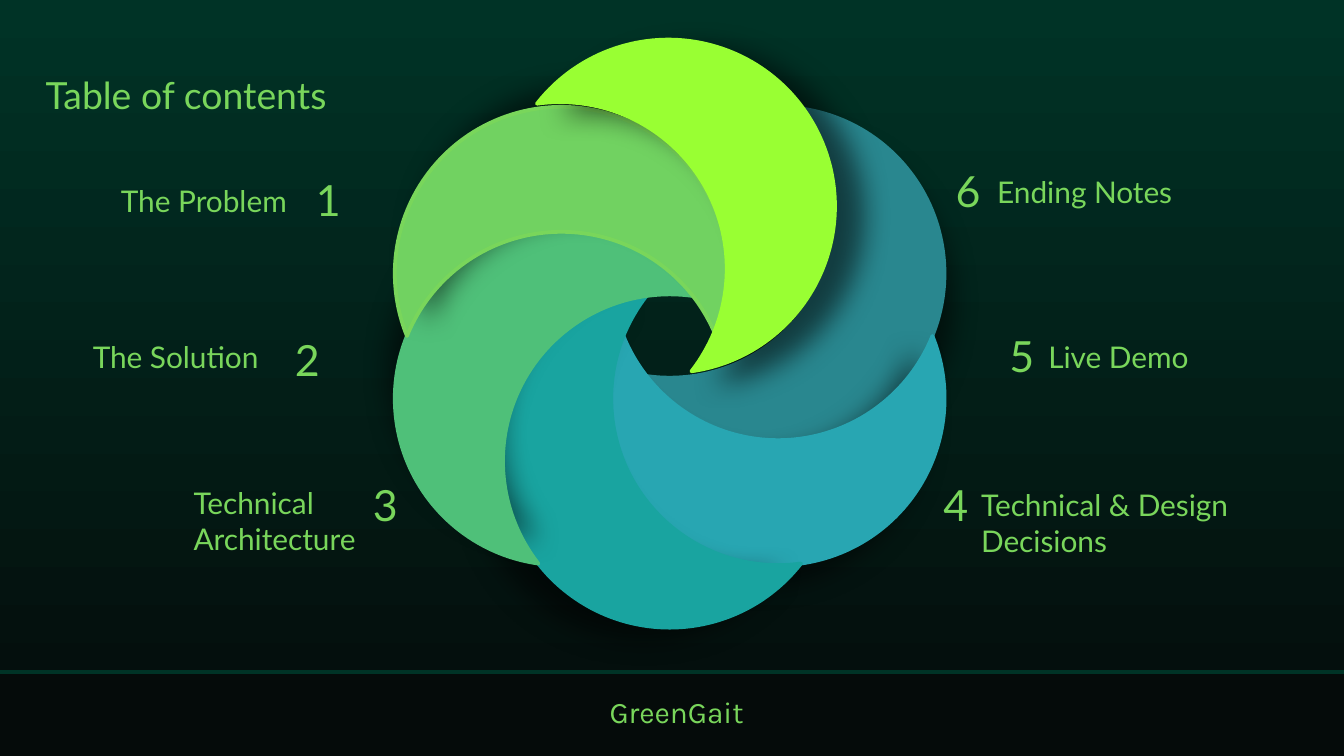
from dataclasses import dataclass
from math import acos, cos, degrees, radians, sin

from lxml import etree
from pptx import Presentation
from pptx.dml.color import RGBColor
from pptx.enum.shapes import MSO_SHAPE
from pptx.oxml.ns import qn
from pptx.util import Emu, Inches, Pt

RECT = MSO_SHAPE.RECTANGLE
CELL = Inches(0.1)
COLS, ROWS = 100, 56.25
NIGHT, FOREST, LEAF, LAGOON = "050B0A", "003326", "79D65B", "0A9CAB"
HUB_COL, HUB_ROW = 49.83, 25
RING, RADIUS = 9.3, 12.4
ARC_STEPS = 60
SPREAD = degrees(acos(RING / 2 / RADIUS))


@dataclass
class Petal:
    fill: str
    line: str
    shadow_angle: int
    shift: tuple[float, float] = (0, 0)


@dataclass
class Label:
    text: str
    col: float
    row: float
    cols: float
    rows: float = 3.8
    size: int = 16
    font: str = "Lato"
    leaf_share: float = 0.71


@dataclass
class Entry:
    number: Label
    topic: Label


def number(text: str, col: float, row: float) -> Label:
    return Label(text, col, row, 2.3, 5.7, 23)


PETALS = [
    Petal("29878F", "29878F", 80),
    Petal("28A6B2", "28A6B2", 140),
    Petal("19A4A0", "19A4A0", 160),
    Petal("4FC079", "4FC079", 260),
    Petal("71D261", LEAF, 320),
    Petal("99FF33", "99FF33", 20, (-0.1, -0.35)),
]

TITLE = Label("Table of contents", 3.4, 5.4, 27.6, 5.7, 20)
FOOTER = Label("GreenGait", 45.35, 51.6, 11.1, 2.8, 16, "Karla", 0.23)

ENTRIES = [
    Entry(number("1", 23.5, 12.95), Label("The Problem", 9, 13.6, 17.4)),
    Entry(number("2", 21.95, 24.8), Label("The Solution", 6.9, 25.2, 20.8)),
    Entry(number("3", 27.75, 35.6), Label("Technical Architecture", 14.4, 36.1, 17.7)),
    Entry(number("6", 71.1, 12.25), Label("Ending Notes", 74.2, 12.9, 23)),
    Entry(number("5", 75.1, 24.5), Label("Live Demo", 78, 25.2, 19.4)),
    Entry(number("4", 70.2, 35.6), Label("Technical & Design Decisions", 73, 36.2, 21.5)),
]


def cells(n: float) -> Emu:
    return Emu(round(n * CELL))


def rgb(color: str) -> RGBColor:
    return RGBColor.from_string(color)


def apply(target, values: dict) -> None:
    for name, value in values.items():
        setattr(target, name, value)


def paint(sp, fill: str, line: str) -> None:
    sp.fill.solid()
    sp.fill.fore_color.rgb = rgb(fill)
    sp.line.color.rgb = rgb(line)
    sp.line.width = Pt(2)
    sp.shadow.inherit = False


def blend(fill, angle: int, stops: dict[float, str]) -> None:
    fill.gradient()
    fill.gradient_angle = angle
    for stop, (position, color) in zip(fill.gradient_stops, stops.items()):
        stop.color.rgb = rgb(color)
        stop.position = position


def add_shadow(sp, angle: int) -> None:
    effects = sp._element.spPr.find(qn("a:effectLst"))
    shadow = etree.SubElement(
        effects, qn("a:outerShdw"), blurRad=str(Pt(15)), dist=str(Pt(15)),
        dir=str(angle * 60000), algn="ctr", rotWithShape="0")
    color = etree.SubElement(shadow, qn("a:srgbClr"), val="000000")
    etree.SubElement(color, qn("a:alpha"), val="55000")


def arc(center: tuple[float, float], start: float, swing: float) -> list[tuple[int, int]]:
    x, y = center
    angles = [radians(start + swing * i / ARC_STEPS) for i in range(ARC_STEPS + 1)]
    return [(cells(x + RADIUS * cos(a)), cells(y + RADIUS * sin(a))) for a in angles]


def round_outline(sp, arcs: list[tuple[float, float]]) -> None:
    path = sp._element.spPr.find(".//" + qn("a:path"))
    for segment in path.findall(qn("a:lnTo")):
        path.remove(segment)
    radius = str(cells(RADIUS))
    for i, (start, swing) in enumerate(arcs, 1):
        path.insert(i, etree.Element(
            qn("a:arcTo"), wR=radius, hR=radius,
            stAng=str(round(start % 360 * 60000)), swAng=str(round(swing * 60000))))


def ring_center(angle: float, shift: tuple[float, float]) -> tuple[float, float]:
    a = radians(angle)
    return HUB_COL + RING * cos(a) + shift[0], HUB_ROW + RING * sin(a) + shift[1]


def add_petal(s, petal: Petal, angle: float) -> None:
    axis = angle + 60
    outer = (axis - 180 + SPREAD, 360 - 2 * SPREAD)
    inner = (axis + SPREAD, -2 * SPREAD)
    points = arc(ring_center(angle, petal.shift), *outer)
    points += arc(ring_center(angle - 60, petal.shift), *inner)
    outline = s.shapes.build_freeform(*points[0])
    outline.add_line_segments(points[1:], close=True)
    sp = outline.convert_to_shape()
    round_outline(sp, [outer, inner])
    paint(sp, petal.fill, petal.line)
    etree.SubElement(sp._element.spPr.find(qn("a:ln")), qn("a:round"))
    add_shadow(sp, petal.shadow_angle)


def add_label(s, label: Label) -> None:
    box = map(cells, (label.col, label.row, label.cols, label.rows))
    tf = s.shapes.add_textbox(*box).text_frame
    apply(tf, {"word_wrap": True, "margin_left": 0, "margin_top": 0,
               "margin_right": 0, "margin_bottom": 0})
    r = tf.paragraphs[0].add_run()
    r.text = label.text
    apply(r.font, {"name": label.font, "size": Pt(label.size)})
    blend(r.font.fill, 180, {label.leaf_share: LEAF, 1: LAGOON})


def main() -> None:
    prs = Presentation()
    apply(prs, {"slide_width": cells(COLS), "slide_height": cells(ROWS)})
    s = prs.slides.add_slide(prs.slide_layouts[6])
    blend(s.background.fill, 90, {0: NIGHT, 1: FOREST})
    for i, petal in enumerate(PETALS):
        add_petal(s, petal, 60 * i - 30)
    add_label(s, TITLE)
    for entry in ENTRIES:
        add_label(s, entry.number)
        add_label(s, entry.topic)
    band = s.shapes.add_shape(RECT, *map(cells, (-0.3, 50.03, 100.5, 6.7)))
    paint(band, NIGHT, FOREST)
    add_label(s, FOOTER)
    prs.save("out.pptx")


if __name__ == "__main__":
    main()
